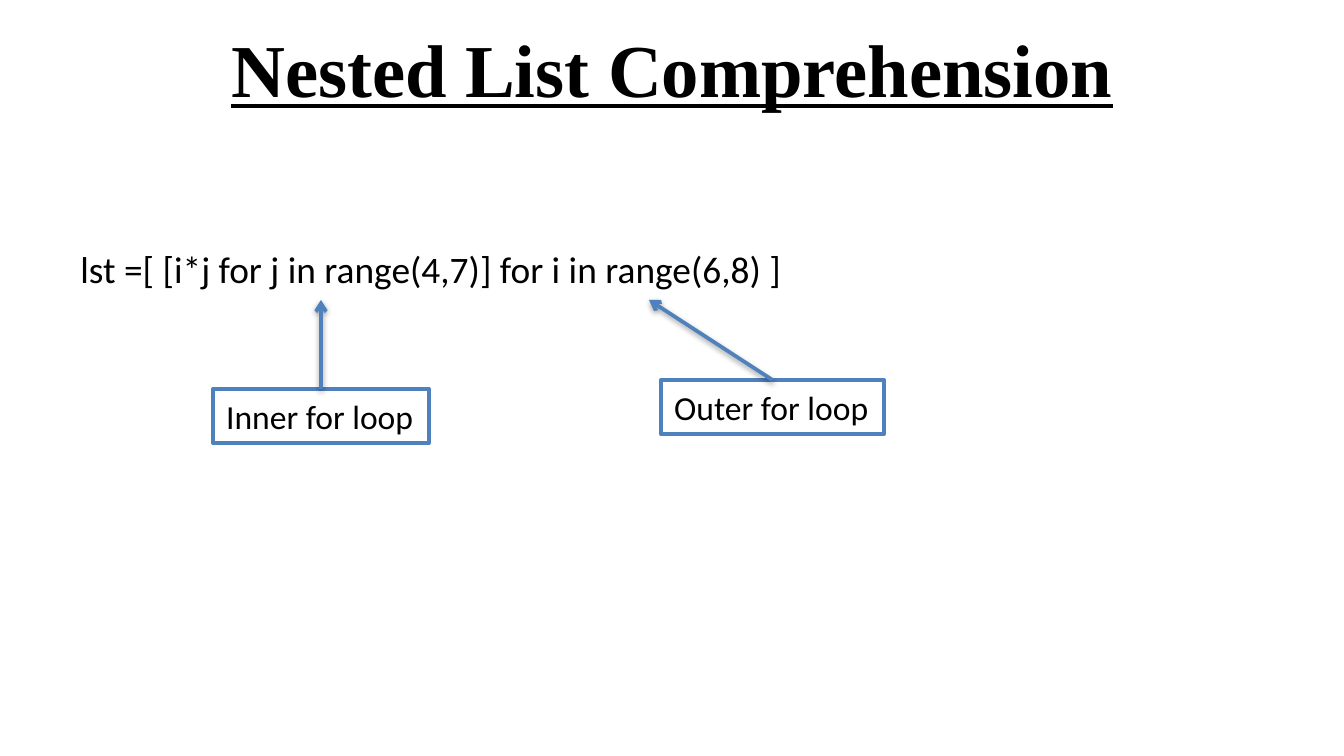
from lxml.etree import SubElement
from pptx import Presentation
from pptx.dml.color import RGBColor
from pptx.enum.shapes import MSO_CONNECTOR, MSO_SHAPE
from pptx.enum.text import MSO_ANCHOR, MSO_AUTO_SIZE, PP_ALIGN
from pptx.oxml import parse_xml
from pptx.oxml.ns import nsdecls, qn
from pptx.util import Pt

EMU_PER_PIXEL = 914400 / 134.4
COLORS = {"ink": "000000", "paper": "FFFFFF", "accent": "4F81BD"}


def px(pixels):
    return round(pixels * EMU_PER_PIXEL)


def color(name):
    return RGBColor.from_string(COLORS[name])


def place(shape, left, top, width, height):
    shape.left, shape.top = px(left), px(top)
    shape.width, shape.height = px(width), px(height)


def write(shape, text, size, font="Calibri", align=PP_ALIGN.LEFT):
    """Set one paragraph of text and return its run."""
    shape.text_frame.text = text
    para = shape.text_frame.paragraphs[0]
    para.alignment = align
    para.space_before = Pt(0)
    span = para.runs[0]
    span.font.size = Pt(size)
    span.font.name = font
    span.font.color.rgb = color("ink")
    return span


def set_line(shape):
    shape.line.color.rgb = color("accent")
    shape.line.width = Pt(2)


def add_title(page, text):
    title = page.shapes.title
    place(title, 67, 5, 1210, 126)
    span = write(title, text, 40, "Times New Roman", PP_ALIGN.CENTER)
    span.font.bold = span.font.underline = True
    title.text_frame.vertical_anchor = MSO_ANCHOR.MIDDLE
    title.text_frame.auto_size = MSO_AUTO_SIZE.NONE


def add_code(page, text):
    body = page.placeholders[1]
    place(body, 67, 132, 1210, 499)
    write(body, text, 20)
    body.text_frame.margin_top = px(114)
    body.text_frame.auto_size = MSO_AUTO_SIZE.NONE
    # Plain line without bullet or hanging indent
    properties = body.text_frame.paragraphs[0]._p.get_or_add_pPr()
    properties.set("marL", "0")
    properties.set("indent", "0")
    SubElement(properties, qn("a:buNone"))


def add_label(page, text, left, top, width, height=54):
    box = page.shapes.add_shape(
        MSO_SHAPE.RECTANGLE, px(left), px(top), px(width), px(height))
    box.shadow.inherit = False
    box.fill.solid()
    box.fill.fore_color.rgb = color("paper")
    set_line(box)
    write(box, text, 18)
    box.text_frame.word_wrap = False
    box.text_frame.vertical_anchor = MSO_ANCHOR.TOP
    box.text_frame.auto_size = MSO_AUTO_SIZE.SHAPE_TO_FIT_TEXT


def add_arrow(page, start, end):
    arrow = page.shapes.add_connector(
        MSO_CONNECTOR.STRAIGHT, *map(px, start + end))
    set_line(arrow)
    SubElement(arrow.line._get_or_add_ln(), qn("a:tailEnd"), type="arrow")
    # Soft shadow straight below the line
    arrow._element.spPr.append(parse_xml(
        f'<a:effectLst {nsdecls("a")}>'
        '<a:outerShdw blurRad="40000" dist="20000" dir="5400000" rotWithShape="0">'
        f'<a:srgbClr val="{COLORS["ink"]}"><a:alpha val="38000"/></a:srgbClr>'
        '</a:outerShdw></a:effectLst>'))


def main():
    deck = Presentation()
    deck.slide_width, deck.slide_height = px(1344), px(756)
    page = deck.slides.add_slide(deck.slide_layouts[1])

    add_title(page, "Nested List Comprehension")
    add_code(page, "lst =[ [i*j for j in range(4,7)] for i in range(6,8) ]")

    # Labels, each with an arrow from its top centre to the code
    loops = [("Outer for loop", 661, 380, 223, 649),
             ("Inner for loop", 213, 389, 216, 321)]
    for text, left, top, width, _ in loops:
        add_label(page, text, left, top, width)
    for _, left, top, width, target in reversed(loops):
        add_arrow(page, (left + width / 2, top), (target, 300))

    deck.save("out.pptx")


main()
